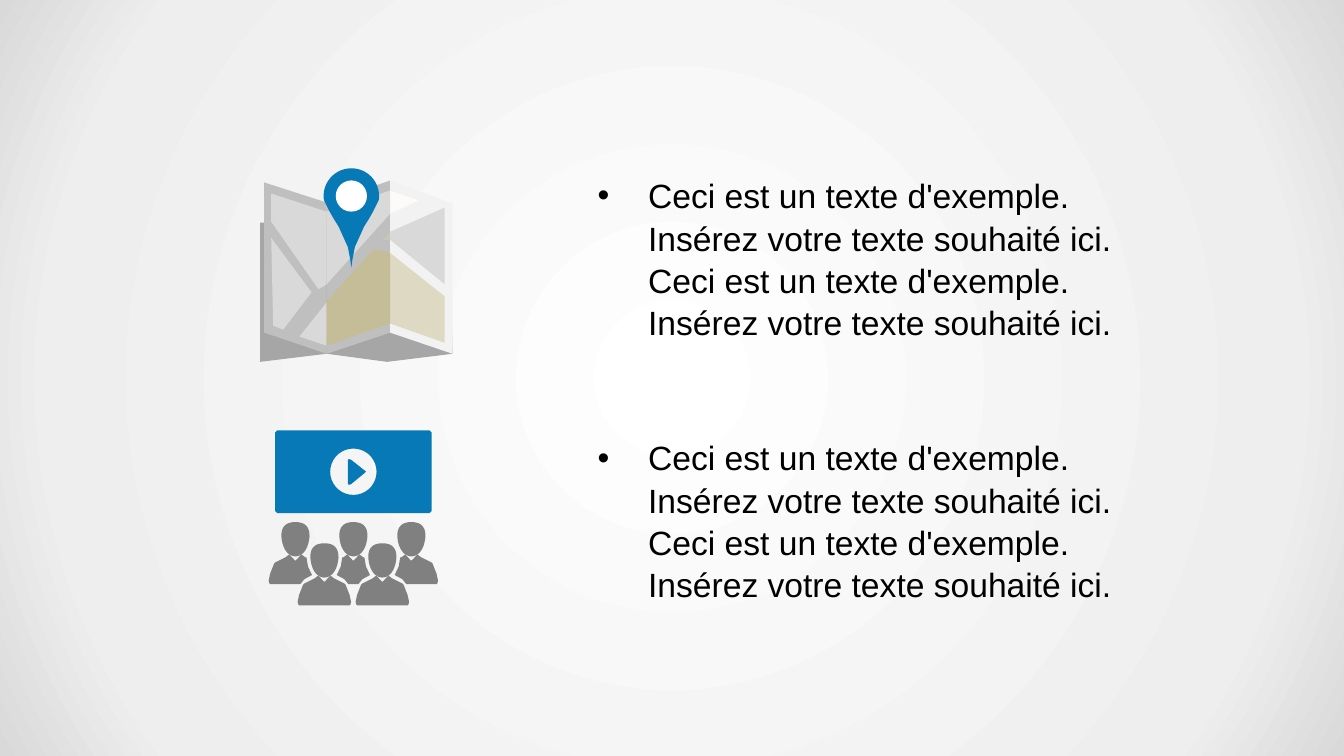
import math
import pptx
import pptx.dml.color
import pptx.enum.shapes
import pptx.oxml
import pptx.oxml.ns
import pptx.util
from lxml import etree

COLORS = {
    "blue": "0779B7", "gray": "808080", "text": "000000", "white": "FFFFFF",
    "shade": "A6A6A6", "fold": "BFBFBF", "edge": "F2F2F2", "block": "D9D9D9",
    "light": "FCFBF9", "sand": "DDD9C3", "dune": "C4BD97", "park": "C2C9B5",
}
BACK = [(0, "FFFFFF"), (81, "EEEEEE"), (100, "D9D9D9")]
BODY = ("Ceci est un texte d'exemple. Insérez votre texte souhaité ici. "
        "Ceci est un texte d'exemple. Insérez votre texte souhaité ici.")

# The slide is a grid of 750 rows with square cells
WIDE, HIGH = pptx.util.Inches(13.33), pptx.util.Inches(7.5)
CELL = HIGH / 750
ROWS = (167, 427)
ICON_COL = (258, 190)
TEXT_COL = (583, 539)

# Map panels, back to front, in cells from the icon's corner
PANELS = [
    ("shade", [(187, 44), (191, 184), (126, 192), (66, 184), (0, 192), (0, 54)]),
    ("fold", [(129, 12), (129, 163), (66, 184), (66, 34)]),
    ("fold", [(4, 14), (66, 34), (66, 184), (4, 163)]),
    ("edge", [(129, 12), (191, 35), (191, 184), (129, 163)]),
    ("block", [(11, 69), (51, 123), (23, 160), (13, 156)]),
    ("block", [(11, 25), (66, 43), (66, 115), (58, 120), (11, 53)]),
    ("light", [(129, 22), (157, 32), (129, 45)]),
    ("block", [(129, 22), (129, 45), (66, 115), (66, 43)]),
    ("sand", [(129, 84), (183, 127), (183, 173), (129, 154)]),
    ("block", [(66, 133), (66, 176), (39, 167)]),
    ("dune", [(113, 80), (129, 84), (129, 154), (66, 176), (66, 132)]),
    ("park", [(129, 63), (129, 71), (121, 71)]),
    ("block", [(183, 39), (183, 115), (129, 71), (129, 63)]),
]

# Right halves of symmetric outlines, measured from the centre line
TAIL = [(26.5, 33), (21.5, 43), (17.5, 50), (12.5, 58), (8.5, 67),
        (3.5, 78), (1, 91), (0, 98.5)]
FULL = [(0.5, 6), (6, 0), (10, 3), (18, 7), (20, 8), (21, 9),
        (25, 19), (26.5, 26), (26, 28.5), (25, 29.5)]
CUT = [(0.5, 6), (6, 0), (10, 3), (11, 3), (12.5, 12), (16.5, 20.5),
       (9, 24.5), (5, 29.5)]


def paint(shape, color):
    shape.shadow.inherit = False
    shape.fill.solid()
    shape.fill.fore_color.rgb = pptx.dml.color.RGBColor.from_string(COLORS[color])
    shape.line.fill.background()


def draw(slide, box, color, *loops):
    """Fill closed loops of cells placed from the corner of the box."""
    pen = None
    for loop in loops:
        dots = [((box[0] + x) * CELL, (box[1] + y) * CELL) for x, y in loop]
        if pen is None:
            pen = slide.shapes.build_freeform(*dots[0], scale=1.0)
        else:
            pen.move_to(*dots[0])
        pen.add_line_segments(dots[1:], close=True)
    paint(pen.convert_to_shape(), color)


def arc(x, y, size, start, end, steps=36):
    turns = [math.radians(start + (end - start) * i / steps) for i in range(steps + 1)]
    return [(x + size * math.cos(t), y + size * math.sin(t)) for t in turns]


def curve(a, b, c, d, steps=10):
    ways = [i / steps for i in range(steps + 1)]
    return [tuple((1 - t) ** 3 * p + 3 * t * (1 - t) ** 2 * q + 3 * t * t * (1 - t) * r
                  + t ** 3 * s for p, q, r, s in zip(a, b, c, d)) for t in ways]


def pair(x, y, right, left=None):
    """Join a right half to a mirrored left half around a centre line."""
    return ([(x + dx, y + dy) for dx, dy in right]
            + [(x - dx, y + dy) for dx, dy in reversed(left or right)])


def write(slide, box, text, size=24, font="Arial", color="text", lead=1.05):
    shape = slide.shapes.add_textbox(*(round(n * CELL) for n in box))
    frame = shape.text_frame
    frame.word_wrap = True
    para = frame.paragraphs[0]
    para.line_spacing = lead
    para.space_before = pptx.util.Pt(0)
    props = para._p.get_or_add_pPr()
    hang = pptx.util.Inches(0.5)
    props.set("marL", str(hang))
    props.set("indent", str(-hang))
    for tag, key, value in (("a:buFont", "typeface", font), ("a:buChar", "char", "•")):
        etree.SubElement(props, pptx.oxml.ns.qn(tag)).set(key, value)
    run = para.add_run()
    run.text = text
    run.font.size = pptx.util.Pt(size)
    run.font.name = font
    run.font.color.rgb = pptx.dml.color.RGBColor.from_string(COLORS[color])


def shade(slide):
    stops = "".join(f'<a:gs pos="{at * 1000}"><a:srgbClr val="{tone}"/></a:gs>'
                    for at, tone in BACK)
    slide._element.cSld.insert(0, pptx.oxml.parse_xml(
        f'<p:bg {pptx.oxml.ns.nsdecls("p", "a")}><p:bgPr><a:gradFill rotWithShape="1">'
        f'<a:gsLst>{stops}</a:gsLst><a:path path="circle">'
        '<a:fillToRect l="50000" t="50000" r="50000" b="50000"/></a:path>'
        '</a:gradFill><a:effectLst/></p:bgPr></p:bg>'))


def chart_map(slide, box):
    for color, loop in PANELS:
        draw(slide, box, color, loop)
    # Pin with a round eye
    mid = 90.5
    draw(slide, box, "blue", pair(mid, 0, arc(0, 27.5, 27.5, -90, 8) + TAIL))
    eye = slide.shapes.add_shape(
        pptx.enum.shapes.MSO_SHAPE.OVAL,
        *(round(n * CELL) for n in (box[0] + mid - 15.5, box[1] + 12, 31, 31)))
    paint(eye, "white")


def person(slide, box, x, y, left, right):
    draw(slide, box, "gray", pair(x, y + 32, right, left))
    head = (curve((0, 0), (10, 0), (14, 5), (14, 14))
            + curve((14, 14), (13, 27), (7, 34), (0, 34)))
    draw(slide, box, "gray", pair(x, y, head))


def crowd(slide, box):
    # Back row, cut where the front row stands
    mid, step, top = 92.5, 57.5, 91
    for i, (left, right) in enumerate([(FULL, CUT), (CUT, CUT), (CUT, FULL)]):
        person(slide, box, mid + (i - 1) * step, top, left, right)
    # Front row
    for side in (-0.5, 0.5):
        person(slide, box, mid + side * step, top + 21, FULL, FULL)
    # Screen with a play button
    half, high = 77.5, 82
    edge = [(half - 2, 0), (half, 2), (half, high - 2), (half - 2, high)]
    ring = arc(mid, high / 2, 23, 360, 0)
    draw(slide, box, "blue", pair(mid, 0, edge), ring)
    draw(slide, box, "blue", [(87, 29.5), (88, 28.5), (90, 29), (104, 40), (105, 41),
                              (104, 42), (90, 53.5), (88, 54), (87, 53)])


def main():
    deck = pptx.Presentation()
    deck.slide_width, deck.slide_height = WIDE, HIGH
    slide = deck.slides.add_slide(deck.slide_layouts[6])
    shade(slide)
    for top, icon in zip(ROWS, (chart_map, crowd)):
        write(slide, (TEXT_COL[0], top, TEXT_COL[1], 167), BODY)
        icon(slide, (ICON_COL[0], top, ICON_COL[1], 192))
    deck.save("out.pptx")


if __name__ == "__main__":
    main()
